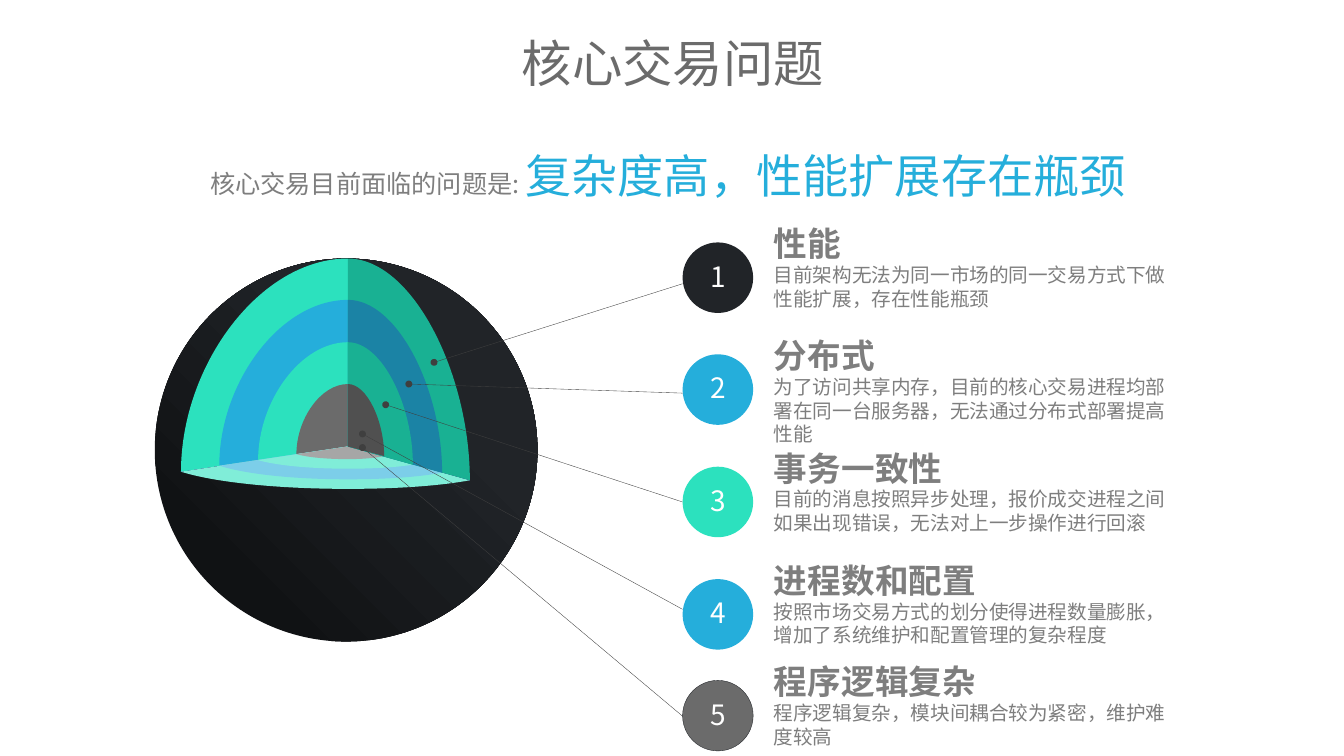
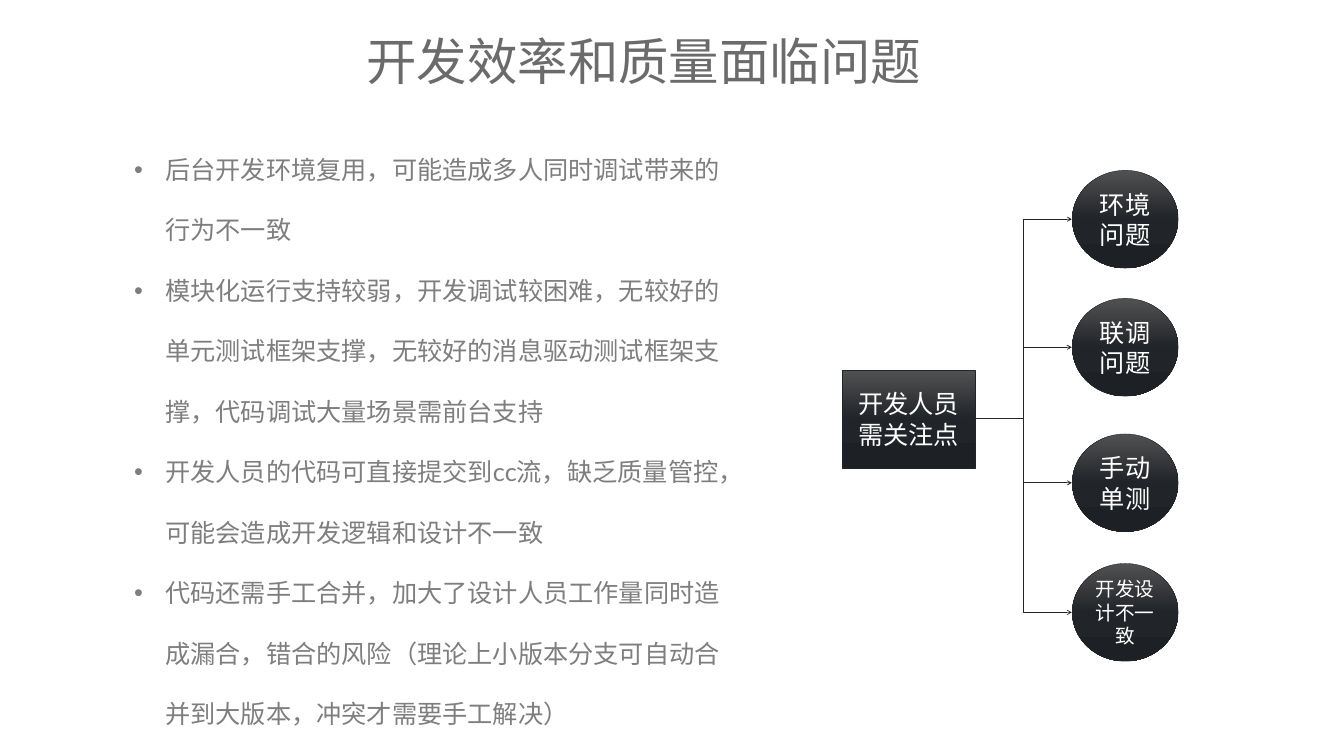
from lxml import etree
from pptx import Presentation
from pptx.dml.color import RGBColor
from pptx.enum import shapes as shp, text as txt
from pptx.oxml import parse_xml
from pptx.oxml.ns import nsdecls, qn
from pptx.util import Inches, Pt

# Shared look
HUE = {
    "ink": "212428", "blue": "25AEDB", "mint": "2CE1BE", "gray": "6B6B6B",
    "body": "7E7E7E", "white": "FFFFFF", "wire": "3F3F3F", "edge": "2D008B",
    "blue_lit": "7CCEE9", "mint_lit": "80EDD8", "gray_lit": "A6A6A6",
    "blue_dim": "1B83A5", "mint_dim": "19B193", "gray_dim": "505050",
}
CJK, LATIN = "Noto Sans CJK SC", "Lato"
GLOSS = [(0, "505152"), (50, "212428"), (100, "1D2024")]
GLOBE = [(31, "212428"), (82, "101214")]
DOWN = '<a:lin ang="5400000" scaled="0"/>'
RADIAL = '<a:path path="circle"><a:fillToRect l="100000" b="100000"/></a:path>'

# Slide 1: heading top, circle colour, wire start y, wire end, heading, body
TITLE1 = "核心交易问题"
LEAD = ("核心交易目前面临的问题是: ", "复杂度高，性能扩展存在瓶颈")
ISSUES = [
    (4.6, "ink", 5.63, (8.61, 7.19), "性能",
     "目前架构无法为同一市场的同一交易方式下做性能扩展，存在性能瓶颈"),
    (6.82, "blue", 7.8, (8.11, 7.62), "分布式",
     "为了访问共享内存，目前的核心交易进程均部署在同一台服务器，无法通过分布式部署提高性能"),
    (9.05, "mint", 9.96, (7.65, 8.03), "事务一致性",
     "目前的消息按照异步处理，报价成交进程之间如果出现错误，无法对上一步操作进行回滚"),
    (11.28, "blue", 12.09, (7.19, 8.61), "进程数和配置",
     "按照市场交易方式的划分使得进程数量膨胀，增加了系统维护和配置管理的复杂程度"),
    (13.29, "gray", 14.21, (7.19, 8.88), "程序逻辑复杂",
     "程序逻辑复杂，模块间耦合较为紧密，维护难度较高"),
]
# Globe layers: colour, left end, right end, top, bottom
CORE = (6.9, 8.86)
LAYERS = [
    ("mint", (3.59, 9.36), (9.32, 9.53), 5.13, 9.7),
    ("blue", (4.35, 9.24), (8.77, 9.38), 5.95, 9.51),
    ("mint", (5.12, 9.13), (8.19, 9.22), 6.79, 9.3),
    ("gray", (5.88, 9.01), (7.62, 9.05), 7.62, 9.11),
]

# Slide 2
TITLE2 = "开发效率和质量面临问题"
POINTS = [
    "后台开发环境复用，可能造成多人同时调试带来的行为不一致",
    "模块化运行支持较弱，开发调试较困难，无较好的单元测试框架支撑，无较好的消息驱动测试框架支撑，代码调试大量场景需前台支持",
    "开发人员的代码可直接提交到cc流，缺乏质量管控，可能会造成开发逻辑和设计不一致",
    "代码还需手工合并，加大了设计人员工作量同时造成漏合，错合的风险（理论上小版本分支可自动合并到大版本，冲突才需要手工解决）",
]
HUB = "开发人员需关注点"
FOCUS = [(3.38, "环境问题", 36), (5.92, "联调问题", 36),
         (8.61, "手动单测", 36), (11.18, "开发设计不一致", 28)]


def rgb(name):
    return RGBColor.from_string(HUE[name])


def style(run, size, hue, face=CJK, bold=None):
    font = run.font
    font.size, font.name, font.bold = Pt(size), face, bold
    font.color.rgb = rgb(hue)
    etree.SubElement(run._r.get_or_add_rPr(), qn("a:ea")).set("typeface", CJK)


def frame(shape, pad, wrap=True, mid=False):
    tf = shape.text_frame
    tf.word_wrap = wrap
    tf.margin_left, tf.margin_top, tf.margin_right, tf.margin_bottom = map(Inches, pad)
    tf.vertical_anchor = txt.MSO_ANCHOR.MIDDLE if mid else txt.MSO_ANCHOR.TOP
    return tf


def label(page, box, words, size, hue, face=CJK, bold=None, pad=(0, 0, 0, 0),
          wrap=True, mid=False):
    """Text box with one styled paragraph."""
    tf = frame(page.shapes.add_textbox(*map(Inches, box)), pad, wrap, mid)
    tf.auto_size = txt.MSO_AUTO_SIZE.SHAPE_TO_FIT_TEXT
    tf.text = words
    para = tf.paragraphs[0]
    style(para.runs[0], size, hue, face, bold)
    return para


def title(page, left, top, width, words):
    para = label(page, (left, top, width, 1.21), words, 72, "gray", wrap=False, mid=True)
    para.alignment = txt.PP_ALIGN.CENTER


def paint(shape, fill, line=None):
    shape.shadow.inherit = False
    shape.fill.solid()
    shape.fill.fore_color.rgb = rgb(fill)
    if line:
        shape.line.color.rgb = rgb(line)
        shape.line.width = Pt(0.5)
    else:
        shape.line.fill.background()


def blend(shape, stops, way):
    """Swap the solid fill for a gradient."""
    marks = "".join(f'<a:gs pos="{pos * 1000}"><a:srgbClr val="{hue}"/></a:gs>'
                    for pos, hue in stops)
    grad = parse_xml(f'<a:gradFill {nsdecls("a")} rotWithShape="1">'
                     f'<a:gsLst>{marks}</a:gsLst>{way}</a:gradFill>')
    props = shape._element.spPr
    props.replace(props.find(qn("a:solidFill")), grad)


def node(page, kind, box, words, size, fill="ink", line=None, face=CJK,
         pad=(0.1, 0.05, 0.1, 0.05)):
    shape = page.shapes.add_shape(kind, *map(Inches, box))
    paint(shape, fill, line)
    tf = frame(shape, pad, mid=True)
    tf.text = words
    tf.paragraphs[0].alignment = txt.PP_ALIGN.CENTER
    style(tf.paragraphs[0].runs[0], size, "white", face)
    return shape


def wire(host, kind, start, end, hue, width, tip=None, size="med"):
    link = host.shapes.add_connector(kind, *map(Inches, (*start, *end)))
    link.line.color.rgb = rgb(hue)
    link.line.width = Pt(width)
    if tip:
        tail = etree.SubElement(link.line._get_or_add_ln(), qn("a:tailEnd"))
        for key, val in (("type", tip), ("w", size), ("len", size)):
            tail.set(key, val)
    etree.SubElement(link._element.spPr, qn("a:effectLst"))


def emu(point):
    return tuple(map(Inches, point))


def slab(host, hue, start, *arcs):
    """Outline from start along cubic arcs (two handles, end), then to the core."""
    pen = host.shapes.build_freeform(*emu(start), scale=1.0)
    pen.add_line_segments([emu(arc[-1]) for arc in arcs] + [emu(CORE)], close=True)
    shape = pen.convert_to_shape()
    paint(shape, hue)
    left, top = shape.left, shape.top
    for line, arc in zip(list(shape._element.iter(qn("a:lnTo"))), arcs):
        bend = etree.Element(qn("a:cubicBezTo"))
        for x, y in map(emu, arc):
            spot = etree.SubElement(bend, qn("a:pt"))
            spot.set("x", str(x - left))
            spot.set("y", str(y - top))
        line.getparent().replace(line, bend)


def globe(page):
    group = page.shapes.add_group_shape()
    ball = group.shapes.add_shape(shp.MSO_SHAPE.OVAL, *map(Inches, (3.07, 5.13, 7.59, 7.6)))
    paint(ball, "ink")
    blend(ball, GLOBE, RADIAL)
    left, right = LAYERS[0][1:3]
    for start, end in ((left, CORE), (CORE, right)):
        wire(group, shp.MSO_CONNECTOR.STRAIGHT, start, end, "edge", 0.88)
    mid = CORE[0]
    # Left walls
    for hue, (x, y), _, top, _ in LAYERS:
        slab(group, hue, (x, y),
             ((x, (y + top) / 2), (x + 0.475 * (mid - x), top), (mid, top)))
    # Floor
    for hue, (x, y), (rx, ry), _, low in LAYERS:
        w, v = mid - x, rx - mid
        slab(group, hue + "_lit", (x, y),
             ((x + 0.2 * w, y + 0.61 * (low - y)), (x + 0.57 * w, low), (mid, low)),
             ((mid + 0.38 * v, low), (mid + 0.73 * v, low - 0.3 * (low - ry)), (rx, ry)))
    # Right walls
    for hue, _, (x, y), top, _ in LAYERS:
        slab(group, hue + "_dim", (mid, top),
             ((mid + 0.53 * (x - mid), top), (x, top + 0.52 * (y - top)), (x, y)))


def core_slide(page):
    globe(page)
    for num, (top, hue, y, end, head, body) in enumerate(ISSUES, 1):
        wire(page, shp.MSO_CONNECTOR.STRAIGHT, (13.54, y), end, "wire", 0.5, "oval", "lg")
        node(page, shp.MSO_SHAPE.OVAL, (13.54, top + 0.21, 1.4, 1.4), str(num), 40, hue,
             "ink" if hue == "gray" else None, pad=(0.1, 0, 0.1, 0.07))
        para = label(page, (15.35, top + 0.61, 7.84, 0.95), body, 28, "body")
        para.line_spacing = Pt(34)
        para = label(page, (15.34, top, 0.68 * len(head), 0.66), head, 48, "body",
                     bold=True, wrap=False)
        para.line_spacing, para.space_after = Pt(45.3), Pt(16)
        para.runs[0]._r.rPr.set("spc", "50")
    para = label(page, (4.07, 2.87, 19.07, 1.21), LEAD[0], 36, "body",
                 pad=(0.1, 0.05, 0.1, 0.05))
    run = para.add_run()
    run.text = LEAD[1]
    style(run, 66, "blue")
    title(page, 10.32, 0.63, 6.06, TITLE1)


def dev_slide(page):
    title(page, 7.27, 0.59, 11, TITLE2)
    # Bullets
    box = page.shapes.add_textbox(*map(Inches, (2.56, 2.41, 12.28, 12.12)))
    tf = frame(box, (0.1, 0.05, 0.1, 0.05))
    tf.text = "\n".join(POINTS)
    for para in tf.paragraphs:
        props = para._p.get_or_add_pPr()
        props.set("marL", str(Inches(0.62)))
        props.set("indent", str(-Inches(0.62)))
        etree.SubElement(props, qn("a:buFont")).set("typeface", "Arial")
        etree.SubElement(props, qn("a:buChar")).set("char", "•")
        para.line_spacing = 2.0
        style(para.runs[0], 36, "body", LATIN)
    # Focus tree
    hub = node(page, shp.MSO_SHAPE.RECTANGLE, (16.7, 7.34, 2.65, 1.94), HUB, 36,
               line="ink", face=LATIN)
    blend(hub, GLOSS, DOWN)
    for top, words, size in FOCUS:
        leaf = node(page, shp.MSO_SHAPE.OVAL, (21.27, top, 2.1, 1.94), words, size,
                    line="ink", face=LATIN)
        blend(leaf, GLOSS, DOWN)
        wire(page, shp.MSO_CONNECTOR.ELBOW, (19.35, 8.31), (21.26, top + 0.97),
             "ink", 1, "arrow")


def main():
    deck = Presentation()
    deck.slide_width, deck.slide_height = Inches(26.66), Inches(15)
    for build in (core_slide, dev_slide):
        build(deck.slides.add_slide(deck.slide_layouts[6]))
    deck.save("out.pptx")


if __name__ == "__main__":
    main()
